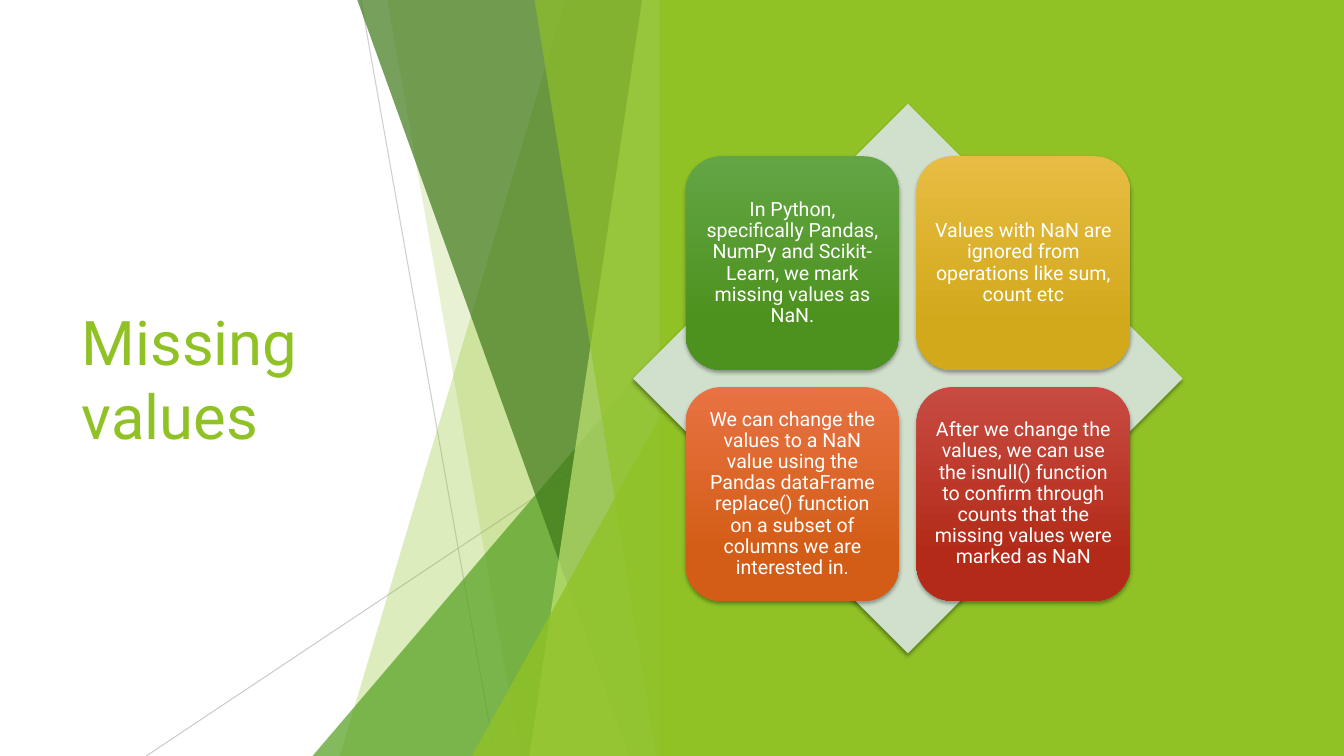
"""Build the "Missing values" slide: a faceted title panel beside four cards on a diamond."""
from lxml.etree import SubElement
from pptx import Presentation
from pptx.dml.color import RGBColor
from pptx.enum.shapes import MSO_CONNECTOR, MSO_SHAPE
from pptx.enum.text import MSO_ANCHOR, PP_ALIGN
from pptx.oxml.ns import qn
from pptx.util import Inches, Pt

GREEN = "90C226"


def rgb(value):
    return RGBColor.from_string(value)


def write(shape, text, size, colour, align, margins, spacing=1.0):
    frame = shape.text_frame
    frame.word_wrap = True
    frame.vertical_anchor = MSO_ANCHOR.MIDDLE
    frame.margin_left = frame.margin_right = Inches(margins[0])
    frame.margin_top = frame.margin_bottom = Inches(margins[1])
    para = frame.paragraphs[0]
    para.alignment = align
    para.line_spacing = spacing
    span = para.add_run()
    span.text = text
    span.font.name = "Roboto"
    span.font.size = Pt(size)
    span.font.color.rgb = rgb(colour)


deck = Presentation()
deck.slide_width, deck.slide_height = Inches(13.33), Inches(7.5)
page = deck.slides.add_slide(deck.slide_layouts[5])
shapes = page.shapes

title = shapes.title
title.left, title.top = Inches(0.71), Inches(1.51)
title.width, title.height = Inches(3.88), Inches(4.48)
write(title, "Missing values", size=44, colour=GREEN, align=PP_ALIGN.LEFT, margins=(0.1, 0.05))

for start_x, start_y, end_x, alpha in [(3.58, 0, 4.91, 75), (6.66, 4.03, 1.45, 80)]:
    ray = shapes.add_connector(
        MSO_CONNECTOR.STRAIGHT, Inches(start_x), Inches(start_y), Inches(end_x), Inches(7.5))
    ray.line.color.rgb = rgb("BFBFBF")
    ray.line.width = Pt(0.75)
    ray_properties = ray.element.spPr
    ray_colour = next(ray_properties.iter(qn("a:srgbClr")))
    SubElement(ray_colour, qn("a:alpha"), val=str(alpha * 1000))
    SubElement(ray_properties, qn("a:effectLst"))

# Bands give their left edge at top and bottom; triangles give their left and top.
edge, top, bottom = 6.66, -0.01, 7.5
facets = [
    ("band", 5.61, 3.37, GREEN, 30),
    ("band", 3.84, 5.16, GREEN, 20),
    ("triangle", 3.1, 3.33, "54A021", 72),
    ("band", 3.54, 6.24, "3F7819", 70),
    ("band", 6.37, 5.25, "C0E474", 70),
    ("band", 5.3, 6.51, GREEN, 65),
    ("triangle", 4.68, 3.93, GREEN, 80),
]
for kind, first, second, colour, alpha in facets:
    if kind == "band":
        outline = shapes.build_freeform(Inches(first), Inches(top))
        outline.add_line_segments([
            (Inches(x), Inches(y)) for x, y in [(edge, top), (edge, bottom), (second, bottom)]])
        facet = outline.convert_to_shape()
    else:
        facet = shapes.add_shape(
            MSO_SHAPE.ISOSCELES_TRIANGLE, Inches(first), Inches(second),
            Inches(edge - first), Inches(bottom - second))
        facet.adjustments[0] = 1
    facet.shadow.inherit = False
    facet.line.fill.background()
    facet.fill.solid()
    facet.fill.fore_color.rgb = rgb(colour)
    facet_colour = next(facet.element.spPr.iter(qn("a:srgbClr")))
    SubElement(facet_colour, qn("a:alpha"), val=str(alpha * 1000))

panel = shapes.add_shape(MSO_SHAPE.RECTANGLE, Inches(6.54), 0, Inches(6.79), Inches(7.5))
diamond = shapes.add_shape(
    MSO_SHAPE.DIAMOND, Inches(6.28), Inches(1.03), Inches(5.45), Inches(5.45))
for shape, colour in [(panel, GREEN), (diamond, "D1DFCD")]:
    shape.shadow.inherit = False
    shape.line.fill.background()
    shape.fill.solid()
    shape.fill.fore_color.rgb = rgb(colour)

raised = [diamond]
cards = [
    ("In Python, specifically Pandas, NumPy and Scikit-Learn, we mark missing values as NaN.",
     "63A545", "4D921E"),
    ("Values with NaN are ignored from operations like sum, count etc", "E7BC43", "D2A91B"),
    ("We can change the values to a NaN value using the Pandas dataFrame replace() function "
     "on a subset of columns we are interested in.", "E87242", "D35D16"),
    ("After we change the values, we can use the isnull() function to confirm through counts "
     "that the missing values were marked as NaN", "C74B42", "B32B18"),
]
card_size, card_step = 2.12, 2.29
for index, (text, upper, lower) in enumerate(cards):
    row, column = divmod(index, 2)
    card = shapes.add_shape(
        MSO_SHAPE.ROUNDED_RECTANGLE,
        Inches(6.8 + column * card_step), Inches(1.55 + row * card_step),
        Inches(card_size), Inches(card_size))
    card.shadow.inherit = False
    card.line.fill.background()
    card.fill.gradient()
    card.fill.gradient_angle = 270
    for stop, position, colour in zip(card.fill.gradient_stops, (0, 0.78), (upper, lower)):
        stop.position = position
        stop.color.rgb = rgb(colour)
    write(card, text, size=14, colour="FFFFFF", align=PP_ALIGN.CENTER,
          margins=(0.06, 0.06), spacing=0.9)
    raised.append(card)

for shape in raised:
    effects = shape.element.spPr.find(qn("a:effectLst"))
    shadow = SubElement(effects, qn("a:outerShdw"), blurRad=str(Pt(3)), dist=str(Pt(2)),
                        dir="5400000", rotWithShape="0")
    shadow_colour = SubElement(shadow, qn("a:srgbClr"), val="000000")
    SubElement(shadow_colour, qn("a:alpha"), val="35000")

deck.save("out.pptx")
